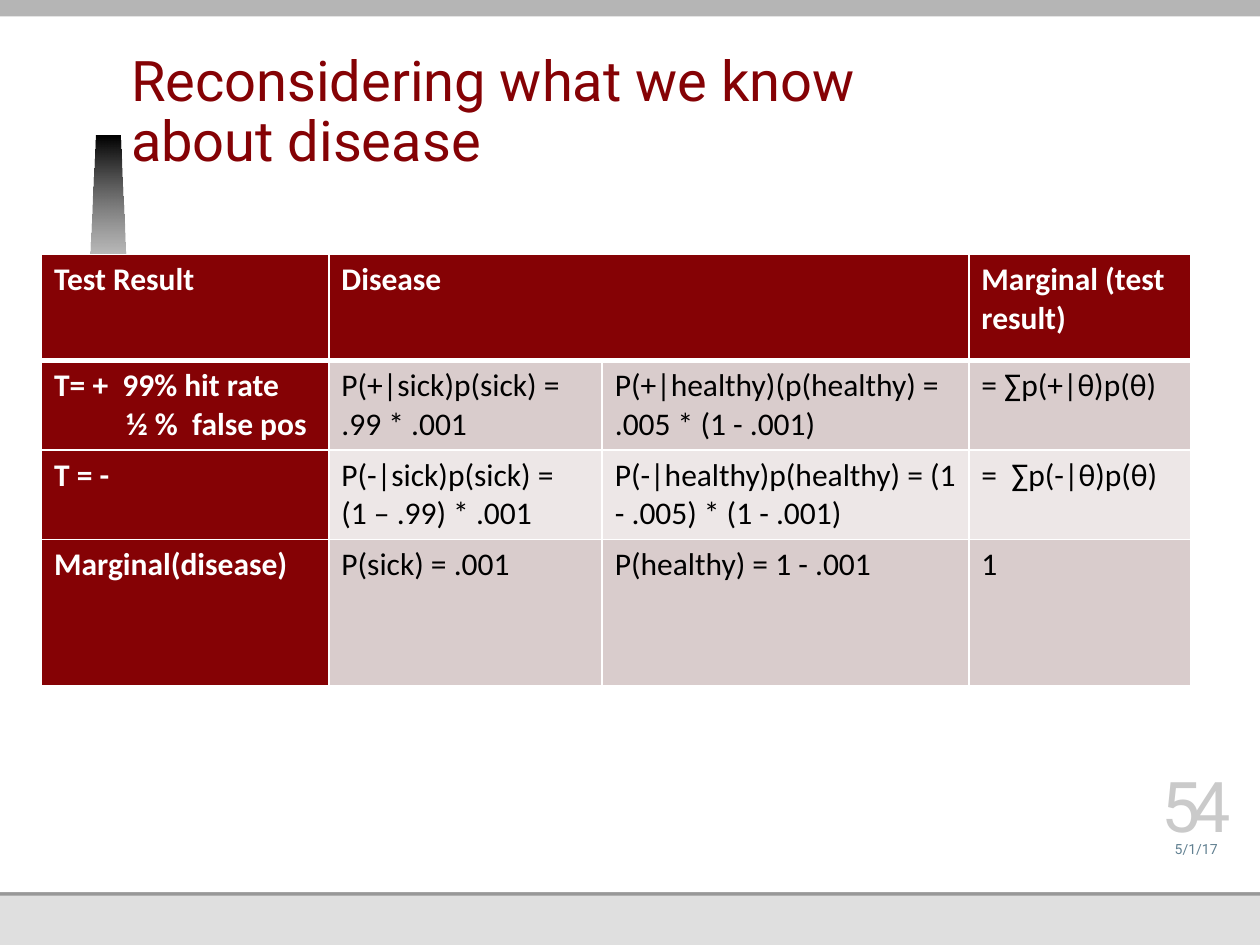
from lxml import etree
from pptx import Presentation
from pptx import util as u
from pptx.dml.color import RGBColor
from pptx.enum import shapes, text
from pptx.oxml import ns

RED, PINK, PALE = "850205", "D9CCCC", "EDE7E7"
WHITE, BLACK = "FFFFFF", "000000"
inch = u.Inches


def rgb(code):
    return RGBColor.from_string(code)


class Deck:
    """Holds the style and the current slide."""

    head, body = "Roboto", "Calibri"

    def __init__(self, slide):
        self.slide = slide

    def run(self, para, words, size, color, face, bold=False):
        run = para.add_run()
        run.text = words
        font = run.font
        font.name, font.size, font.bold = face, u.Pt(size), bold
        font.color.rgb = rgb(color)
        return run

    def frame(self, shape, low=0):
        frame = shape.text_frame
        frame.word_wrap = True
        frame.auto_size = text.MSO_AUTO_SIZE.NONE
        frame.vertical_anchor = text.MSO_ANCHOR.BOTTOM
        frame.margin_left = frame.margin_right = frame.margin_top = 0
        frame.margin_bottom = inch(low)
        return frame.paragraphs[0]

    def rect(self, x, y, w, h, color):
        bar = self.slide.shapes.add_shape(
            shapes.MSO_SHAPE.RECTANGLE, inch(x), inch(y), inch(w), inch(h))
        bar.shadow.inherit = False
        bar.fill.solid()
        bar.fill.fore_color.rgb = rgb(color)
        bar.line.fill.background()

    def wedge(self, points):
        """Outline that fades downwards from black to clear white."""
        first, *rest = [(inch(x), inch(y)) for x, y in points]
        build = self.slide.shapes.build_freeform(*first)
        build.add_line_segments(rest, close=True)
        form = build.convert_to_shape()
        form.shadow.inherit = False
        form.line.fill.background()
        form.fill.gradient()
        form.fill.gradient_angle = 270
        stops = form.fill.gradient_stops
        for stop, place, color in zip(stops, (0, 1), (BLACK, WHITE)):
            stop.position = place
            stop.color.rgb = rgb(color)
        clear = form._element.findall(".//" + ns.qn("a:srgbClr"))[-1]
        etree.SubElement(clear, ns.qn("a:alpha")).set("val", "0")

    def title(self, words, x, y, w, h):
        box = self.slide.shapes.title
        box.left, box.top, box.width, box.height = map(inch, (x, y, w, h))
        para = self.frame(box, 0.05)
        para.alignment = text.PP_ALIGN.LEFT
        para.line_spacing = u.Pt(34)
        self.run(para, words, 32, RED, self.head)

    def label(self, words, x, y, w, h, size, color, space=0):
        box = self.slide.shapes.add_textbox(*map(inch, (x, y, w, h)))
        para = self.frame(box)
        para.alignment = text.PP_ALIGN.CENTER
        run = self.run(para, words, size, color, self.head)
        if space:
            run.font._element.set("spc", str(space * 100))

    def edge(self, cell, widths):
        props = cell._tc.get_or_add_tcPr()
        for spot, (side, width) in enumerate(zip("LRTB", widths)):
            line = etree.Element(ns.qn("a:ln" + side), w=str(u.Pt(width)))
            fill = etree.SubElement(line, ns.qn("a:solidFill"))
            etree.SubElement(fill, ns.qn("a:srgbClr"), val=WHITE)
            props.insert(spot, line)

    def cell(self, cell, lines, fill, strong, widths, indent):
        cell.fill.solid()
        cell.fill.fore_color.rgb = rgb(fill)
        self.edge(cell, widths)
        frame = cell.text_frame
        for i, words in enumerate(lines):
            para = frame.add_paragraph() if i else frame.paragraphs[0]
            if i and indent:
                para._p.get_or_add_pPr().set("marL", str(inch(indent)))
            self.run(para, words, 18, WHITE if strong else BLACK,
                     self.body, strong)

    def table(self, rows, x, y, cols, highs):
        grid = self.slide.shapes.add_table(
            len(rows), len(cols), inch(x), inch(y),
            inch(sum(cols)), inch(sum(highs))).table
        for col, width in zip(grid.columns, cols):
            col.width = inch(width)
        for row, high in zip(grid.rows, highs):
            row.height = inch(high)
        grid.cell(0, 1).merge(grid.cell(0, 2))
        for r, row in enumerate(rows):
            # Thick rule between header and body
            widths = (1, 1, 3 if r == 1 else 1, 3 if r == 0 else 1)
            for c, words in enumerate(row):
                strong = r == 0 or c == 0
                fill = RED if strong else (PINK if r % 2 else PALE)
                lines = words.split("\n") if words else []
                self.cell(grid.cell(r, c), lines, fill, strong, widths,
                          0 if c else 0.57)


def main():
    prs = Presentation()
    prs.slide_width, prs.slide_height = inch(10), inch(7.5)
    deck = Deck(prs.slides.add_slide(prs.slide_layouts[5]))

    # Backdrop bands
    deck.rect(0, 0, 10, 7.5, "DFDFDF")
    deck.rect(0, 1.78, 10, 5.33, "989898")
    deck.rect(0, 0, 10, 7.08, WHITE)
    deck.rect(0, 0, 7.9, 0.11, "989898")
    deck.wedge([(0.67, 3.05), (0.76, 1.08), (0.95, 1.08), (1.04, 3.05)])
    deck.rect(0, -0.04, 10.17, 0.17, "B5B5B5")

    # Title, raised above the bands
    deck.title("Reconsidering what we know about disease",
               1.04, 0.34, 6.87, 1.08)
    tree = deck.slide.shapes._spTree
    tree.append(deck.slide.shapes.title._element)

    # Probability table
    deck.table([
        ["Test Result", "Disease", "", "Marginal (test result)"],
        ["T= +  99% hit rate\n½ %  false pos",
         "P(+|sick)p(sick) = .99 * .001",
         "P(+|healthy)(p(healthy) =  .005 * (1 - .001)",
         "= ∑p(+|θ)p(θ)"],
        ["T = -", "P(-|sick)p(sick) =\n(1 – .99) * .001",
         "P(-|healthy)p(healthy) = (1 - .005) * (1 - .001)",
         "=  ∑p(-|θ)p(θ)"],
        ["Marginal(disease)", "P(sick) = .001",
         "P(healthy) = 1 - .001", "1"],
    ], 0.33, 2.02, [2.28, 2.17, 2.91, 1.76], [0.84, 0.67, 0.67, 1.16])

    # Date and page number
    deck.label("5/1/17", 9.13, 6.58, 0.73, 0.22, 8, "618091")
    deck.label("54", 9.13, 6.16, 0.73, 0.56, 40, "CACACA", -5)

    prs.save("out.pptx")


if __name__ == "__main__":
    main()
